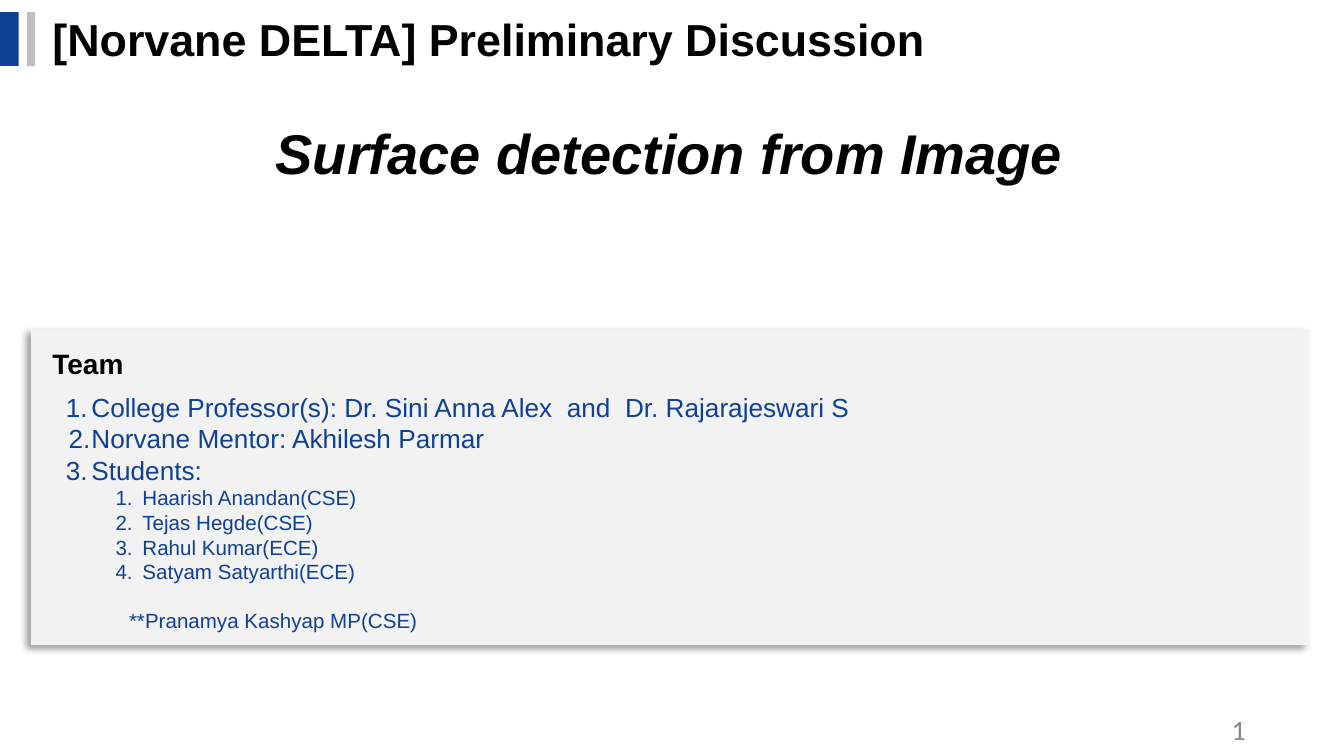
from lxml import etree
from pptx import Presentation
from pptx.dml.color import RGBColor
from pptx.enum.shapes import MSO_SHAPE
from pptx.enum.text import MSO_ANCHOR, MSO_AUTO_SIZE, PP_ALIGN
from pptx.oxml import parse_xml
from pptx.oxml.ns import nsdecls, qn
from pptx.util import Inches, Pt

RECTANGLE = MSO_SHAPE.RECTANGLE
TOP, MIDDLE = MSO_ANCHOR.TOP, MSO_ANCHOR.MIDDLE
LEFT, CENTER, RIGHT = PP_ALIGN.LEFT, PP_ALIGN.CENTER, PP_ALIGN.RIGHT
NO_AUTOFIT = MSO_AUTO_SIZE.NONE

BLUE, BLACK = "0E4094", "000000"
LIGHT_GREY, MID_GREY, DARK_GREY = "F2F2F2", "BFBFBF", "888888"
TITLE_ONLY = 5

# Text and hanging indent in inches
ROLES = [
    ("College Professor(s): Dr. Sini Anna Alex  and  Dr. Rajarajeswari S", 0.19),
    ("Norvane Mentor: Akhilesh Parmar", 0.17),
    ("Students:", 0.19),
]
STUDENTS = [
    "Haarish Anandan(CSE)",
    "Tejas Hegde(CSE)",
    "Rahul Kumar(ECE)",
    "Satyam Satyarthi(ECE)",
]
EXTRA_STUDENT = "**Pranamya Kashyap MP(CSE)"


def color(hex_string):
    return RGBColor.from_string(hex_string)


def add_rectangle(slide, left, top, width, height, fill):
    shape = slide.shapes.add_shape(
        RECTANGLE, Inches(left), Inches(top), Inches(width), Inches(height))
    shape.shadow.inherit = False
    shape.fill.solid()
    shape.fill.fore_color.rgb = color(fill)
    shape.line.fill.background()
    return shape


def add_shadow(shape):
    """Give the shape a soft shadow towards the lower left."""
    effects = shape._element.spPr.find(qn("a:effectLst"))
    shadow = etree.SubElement(
        effects, qn("a:outerShdw"), blurRad=str(Pt(4)), dist=str(Pt(3)),
        dir=str(135 * 60000), algn="tr", rotWithShape="0")
    shade = etree.SubElement(shadow, qn("a:srgbClr"), val=BLACK)
    etree.SubElement(shade, qn("a:alpha"), val="40000")


def format_frame(frame, anchor):
    frame.word_wrap = True
    frame.auto_size = NO_AUTOFIT
    frame.vertical_anchor = anchor
    frame.margin_left = frame.margin_right = Inches(0.04)
    frame.margin_top = frame.margin_bottom = Inches(0.04)


def add_text_box(slide, left, top, width, height, anchor=MIDDLE):
    box = slide.shapes.add_textbox(
        Inches(left), Inches(top), Inches(width), Inches(height))
    format_frame(box.text_frame, anchor)
    return box.text_frame


def add_run(paragraph, text, size, fill, font="Arial", bold=False, italic=False):
    run = paragraph.add_run()
    run.text = text
    run.font.name = font
    run.font.size = Pt(size)
    run.font.bold = bold
    run.font.italic = italic
    run.font.color.rgb = color(fill)


def set_title(slide, text):
    title = slide.shapes.title
    title.left, title.top = Inches(0.35), Inches(0.05)
    title.width, title.height = Inches(7.64), Inches(0.47)
    format_frame(title.text_frame, MIDDLE)
    paragraph = title.text_frame.paragraphs[0]
    paragraph.alignment = LEFT
    add_run(paragraph, text, 24, BLACK, bold=True)


def add_label(slide, position, text, size, fill, alignment=LEFT, anchor=MIDDLE, **style):
    frame = add_text_box(slide, *position, anchor=anchor)
    paragraph = frame.paragraphs[0]
    paragraph.alignment = alignment
    add_run(paragraph, text, size, fill, **style)


def number_paragraph(paragraph, margin, hanging):
    properties = paragraph._p.get_or_add_pPr()
    properties.set("marL", str(Inches(margin)))
    properties.set("indent", str(-Inches(hanging)))
    properties.append(parse_xml(
        f'<a:buClr {nsdecls("a")}><a:srgbClr val="{BLUE}"/></a:buClr>'))
    properties.append(parse_xml(
        f'<a:buFont {nsdecls("a")} typeface="Arial"/>'))
    properties.append(parse_xml(
        f'<a:buAutoNum {nsdecls("a")} type="arabicPeriod"/>'))


def add_team_list(slide):
    frame = add_text_box(slide, 0.45, 2.87, 8.74, 1.89, anchor=TOP)
    items = [(text, 0, 14, 0.19, hanging) for text, hanging in ROLES]
    items += [(text, 1, 11, 0.57, 0.2) for text in STUDENTS]
    for index, (text, level, size, margin, hanging) in enumerate(items):
        paragraph = frame.add_paragraph() if index else frame.paragraphs[0]
        paragraph.level = level
        number_paragraph(paragraph, margin, hanging)
        add_run(paragraph, text, size, BLUE)

    paragraph = frame.add_paragraph()
    paragraph.space_before = Pt(13)
    paragraph._p.get_or_add_pPr().set("marL", str(Inches(0.47)))
    add_run(paragraph, EXTRA_STUDENT, 11, BLUE)


def main():
    presentation = Presentation()
    presentation.slide_width = Inches(10)
    presentation.slide_height = Inches(10 * 9 / 16)
    slide = presentation.slides.add_slide(presentation.slide_layouts[TITLE_ONLY])

    set_title(slide, "[Norvane DELTA] Preliminary Discussion")
    add_shadow(add_rectangle(slide, 0.23, 2.45, 9.51, 2.35, LIGHT_GREY))
    add_rectangle(slide, 0, 0.09, 0.14, 0.4, BLUE)
    add_rectangle(slide, 0.2, 0.09, 0.06, 0.4, MID_GREY)
    add_label(slide, (0.35, 2.54, 0.61, 0.33), "Team", 15, BLACK,
              anchor=TOP, bold=True)
    add_team_list(slide)
    add_label(slide, (1.16, 0.84, 7.64, 0.58), "Surface detection from Image",
              30, BLACK, CENTER, bold=True, italic=True)
    add_label(slide, (9.1, 5.26, 0.21, 0.33), "1", 15, DARK_GREY, RIGHT,
              font="Calibri")

    presentation.save("out.pptx")


if __name__ == "__main__":
    main()
